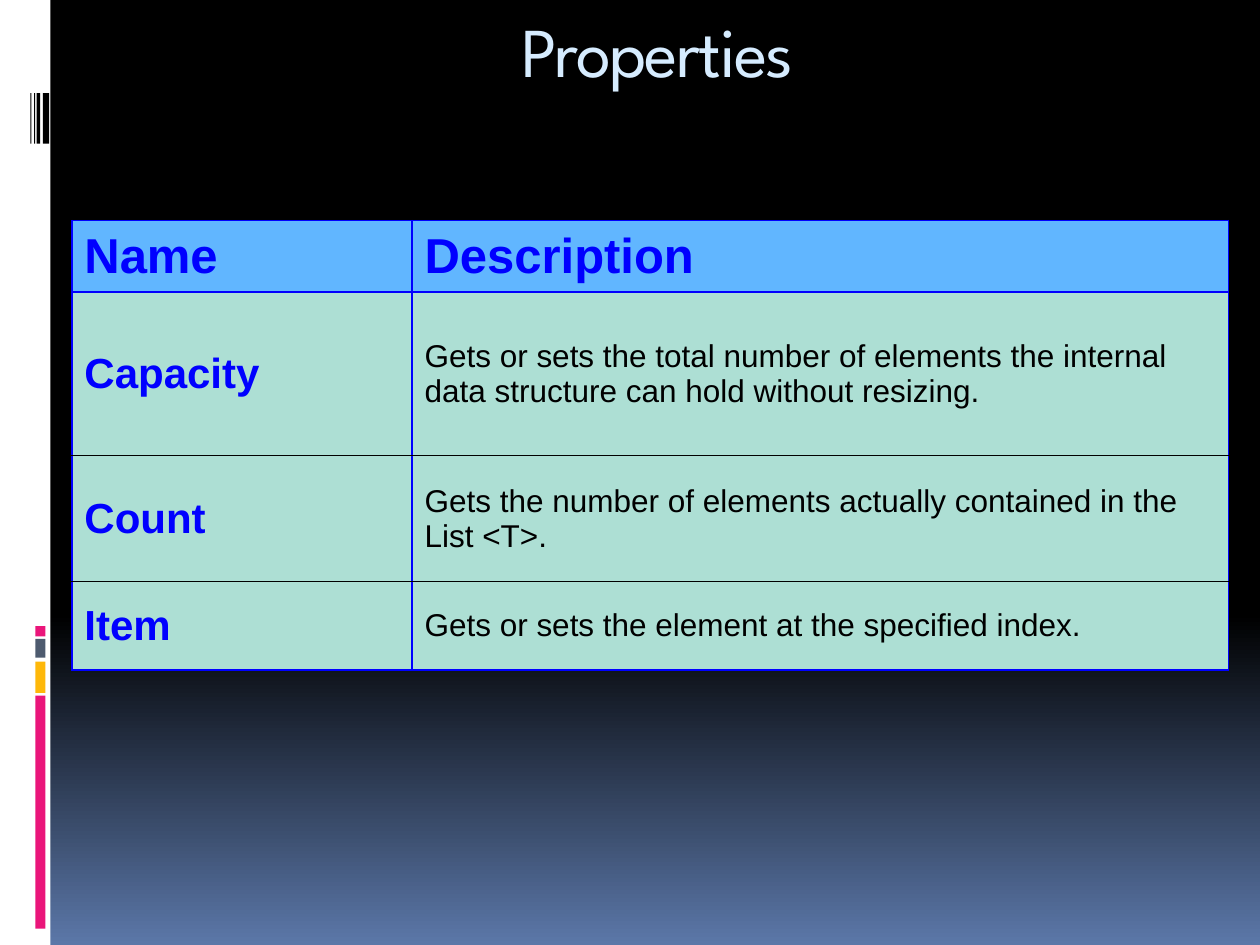
from lxml.etree import SubElement
from pptx import Presentation
from pptx.dml.color import RGBColor
from pptx.enum.shapes import MSO_SHAPE
from pptx.enum.text import MSO_ANCHOR, PP_ALIGN
from pptx.oxml.ns import qn
from pptx.util import Inches, Pt

COLORS = {
    "white": "FFFFFF", "black": "000000", "pink": "EA157A", "amber": "FEB80A",
    "slate": "4E5B6F", "dusk": "5B77A8", "title": "D6ECFF", "blue": "0000FF",
    "header": "61B6FF", "body": "ADDFD4",
}


def rgb(name):
    return RGBColor.from_string(COLORS[name])


def add_run(paragraph, text, size, font, color, bold=False):
    run = paragraph.add_run()
    run.text = text
    run.font.size = Pt(size)
    run.font.name = font
    run.font.bold = bold
    run.font.color.rgb = rgb(color)
    return run


prs = Presentation()
prs.slide_width = Inches(10)
prs.slide_height = Inches(7.5)
slide = prs.slides.add_slide(prs.slide_layouts[6])

backdrop = slide.background.fill
backdrop.gradient()
backdrop.gradient_angle = 270
for stop, position, color in zip(backdrop.gradient_stops, (0.65, 1), ("black", "dusk")):
    stop.position = position
    stop.color.rgb = rgb(color)

bars = [(0, 0, 0.4, 7.5, "white")]
bars += [(0.28, top, 0.08, height, color) for top, height, color in (
    (5.52, 1.85, "pink"), (5.25, 0.25, "amber"), (5.07, 0.15, "slate"), (4.97, 0.08, "pink"))]
bars += [(left, 0.74, width, 0.4, "black") for left, width in (
    (0.34, 0.05), (0.29, 0.03), (0.27, 0.01), (0.24, 0.01))]
for left, top, width, height, color in bars:
    bar = slide.shapes.add_shape(
        MSO_SHAPE.RECTANGLE, Inches(left), Inches(top), Inches(width), Inches(height))
    bar.shadow.inherit = False
    bar.fill.solid()
    bar.fill.fore_color.rgb = rgb(color)
    bar.line.fill.background()

title = slide.shapes.add_textbox(Inches(0.42), Inches(0.01), Inches(9.6), Inches(0.69)).text_frame
title.word_wrap = True
title.vertical_anchor = MSO_ANCHOR.TOP
heading = title.paragraphs[0]
heading.alignment = PP_ALIGN.CENTER
heading_run = add_run(heading, "Properties", 40, "League Spartan", "title")
heading_run.font._element.set("spc", "-100")

properties = [
    ("Name", "Description"),
    ("Capacity", "Gets or sets the total number of elements the internal data structure "
                 "can hold without resizing."),
    ("Count", "Gets the number of elements actually contained in the List <T>."),
    ("Item", "Gets or sets the element at the specified index."),
]
column_widths = (2.7, 6.48)
row_heights = (0.54, 1.3, 1, 0.7)
table = slide.shapes.add_table(
    len(properties), 2, Inches(0.57), Inches(1.75),
    Inches(sum(column_widths)), Inches(sum(row_heights))).table
for column, width in zip(table.columns, column_widths):
    column.width = Inches(width)
for row, height in zip(table.rows, row_heights):
    row.height = Inches(height)

last = len(properties) - 1
for r, entry in enumerate(properties):
    for c, text in enumerate(entry):
        cell = table.cell(r, c)
        cell.vertical_anchor = MSO_ANCHOR.MIDDLE
        thin_sides = {"a:lnT"} if r > 1 else set()
        if 0 < r < last:
            thin_sides.add("a:lnB")
        for side in ("a:lnL", "a:lnR", "a:lnT", "a:lnB"):
            thin = side in thin_sides
            border = SubElement(cell._tc.get_or_add_tcPr(), qn(side), w=str(Pt(0.5 if thin else 1)))
            border_fill = SubElement(border, qn("a:solidFill"))
            SubElement(border_fill, qn("a:srgbClr"), val=COLORS["black" if thin else "blue"])
        cell.fill.solid()
        cell.fill.fore_color.rgb = rgb("header" if r == 0 else "body")
        label = r == 0 or c == 0
        size = 28 if r == 0 else 24 if c == 0 else 18
        add_run(cell.text_frame.paragraphs[0], text, size, "Arial",
                "blue" if label else "black", label)

prs.save("out.pptx")
